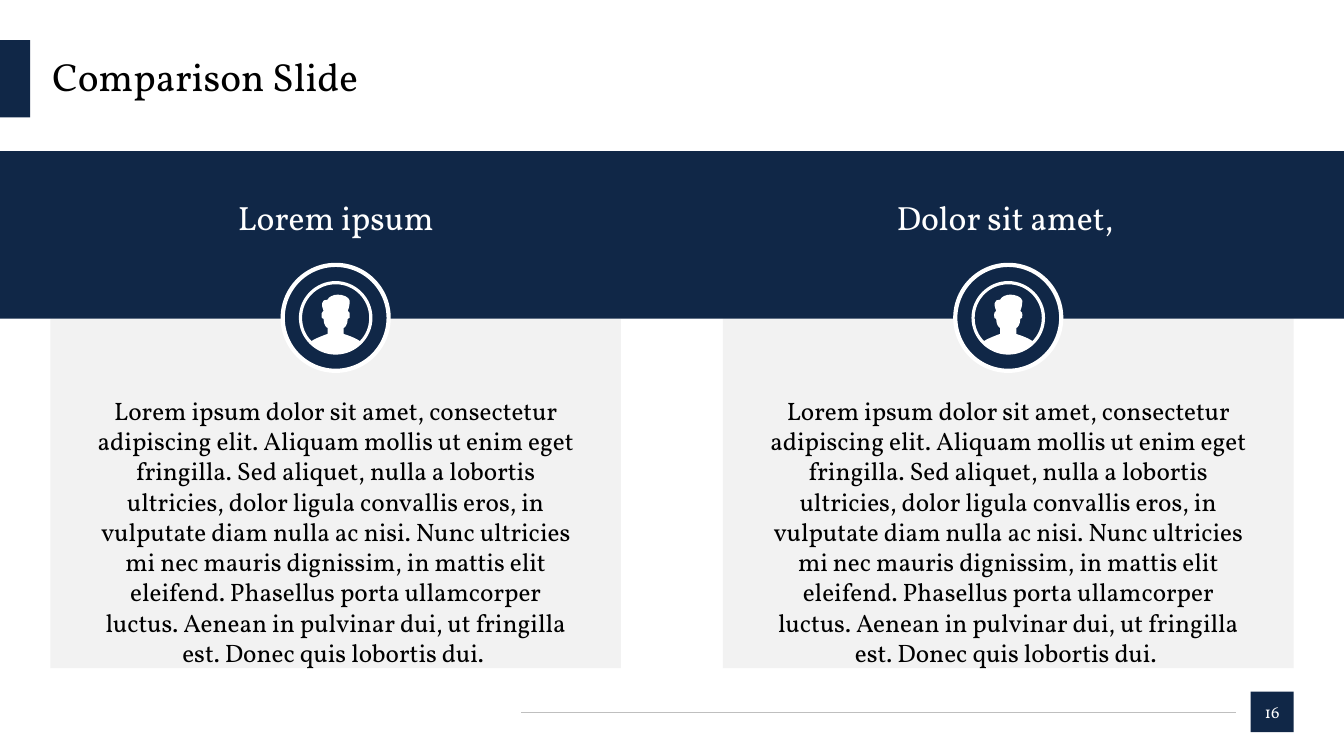
from copy import deepcopy

from lxml.etree import SubElement
from pptx import Presentation
from pptx.dml.color import RGBColor
from pptx.enum.shapes import MSO_CONNECTOR, MSO_SHAPE
from pptx.enum.text import MSO_ANCHOR, MSO_AUTO_SIZE, PP_ALIGN
from pptx.oxml.ns import qn
from pptx.util import Cm, Pt

NAVY = RGBColor(0x10, 0x27, 0x47)
PALE = RGBColor(0xF2, 0xF2, 0xF2)
GREY = RGBColor(0xBF, 0xBF, 0xBF)
WHITE = RGBColor(0xFF, 0xFF, 0xFF)
BLACK = RGBColor(0, 0, 0)
FONT = "Vollkorn"

SLIDE_W, SLIDE_H = Cm(33.87), Cm(19.05)
MARGIN = Cm(1.27)
CARD_W, CARD_H = Cm(14.38), Cm(8.81)
BAND_TOP, BAND_H = Cm(3.81), Cm(4.22)

LOREM = (
    "Lorem ipsum dolor sit amet, consectetur adipiscing elit. Aliquam mollis ut "
    "enim eget fringilla. Sed aliquet, nulla a lobortis ultricies, dolor ligula "
    "convallis eros, in vulputate diam nulla ac nisi. Nunc ultricies mi nec mauris "
    "dignissim, in mattis elit eleifend. Phasellus porta ullamcorper luctus. Aenean "
    "in pulvinar dui, ut fringilla est. Donec quis lobortis dui. "
)
COLUMNS = [("Lorem ipsum", LOREM), ("Dolor sit amet, ", LOREM)]

ICON_UNIT = 0.0254
RING_START = (0, -36.5)
RING_CURVES = [
    ((-20, -36.5), (-36.5, -20), (-36.5, 0)),
    ((-36.5, 20), (-20, 36.5), (0, 36.5)),
    ((20, 36.5), (36.5, 20), (36.5, 0)),
    ((36.5, -20), (20, -36.5), (0, -36.5)),
]
BUST_START = (24, 23)
BUST_CURVES = [
    ((21, 21), (17, 19), (11, 17)),
    ((10, 17), (9, 16), (8, 16)),
    ((8, 10), (8, 10), (8, 10)),
    ((9, 10), (12, 7), (12, 1)),
    ((14, 1), (14, 0), (14, -3)),
    ((14, -4), (14, -6), (12, -7)),
    ((13, -9), (14, -13), (14, -17)),
    ((13, -21), (7, -23), (2, -23)),
    ((-2, -23), (-7, -21), (-8, -18)),
    ((-11, -18), (-12, -17), (-12, -17)),
    ((-15, -14), (-13, -10), (-12, -7)),
    ((-14, -6), (-14, -4), (-14, -3)),
    ((-14, 0), (-14, 1), (-12, 1)),
    ((-12, 7), (-9, 10), (-8, 10)),
    ((-8, 16), (-8, 16), (-8, 16)),
    ((-9, 16), (-10, 17), (-11, 17)),
    ((-16, 19), (-21, 21), (-24, 23)),
    ((-30, 17), (-33.3, 9), (-33.3, 0)),
    ((-33.3, -18.4), (-18.4, -33.3), (0, -33.3)),
    ((18.4, -33.3), (33.3, -18.4), (33.3, 0)),
    ((33.3, 9), (30, 17), (24, 23)),
]


def place(part, left, top, width, height):
    part.left, part.top, part.width, part.height = left, top, width, height


def write(part, text, size, color=BLACK, align=PP_ALIGN.CENTER,
          anchor=MSO_ANCHOR.TOP, after=0, spacing=1.0, fit=MSO_AUTO_SIZE.NONE):
    frame = part.text_frame
    frame.word_wrap = True
    frame.auto_size = fit
    frame.vertical_anchor = anchor
    frame.margin_left = frame.margin_right = 0
    frame.margin_top = frame.margin_bottom = 0
    paragraph = frame.paragraphs[0]
    paragraph.alignment = align
    paragraph.line_spacing = spacing
    paragraph.space_before, paragraph.space_after = Pt(0), Pt(after)
    run = paragraph.add_run()
    run.text = text
    run.font.name, run.font.size = FONT, Pt(size)
    run.font.color.rgb = color


def remove_bullet(placeholder):
    properties = placeholder.text_frame.paragraphs[0]._p.get_or_add_pPr()
    properties.set("marL", "0")
    properties.set("indent", "0")
    SubElement(properties, qn("a:buNone"))


def paint(part, fill, outline=None):
    part.shadow.inherit = False
    part.fill.solid()
    part.fill.fore_color.rgb = fill
    if outline is None:
        part.line.fill.background()
    else:
        part.line.color.rgb = outline
        part.line.width = Pt(3)


def add_block(shapes, left, top, width, height, fill):
    block = shapes.add_shape(MSO_SHAPE.RECTANGLE, left, top, width, height)
    paint(block, fill)
    return block


def send_to_back(shapes, part):
    shapes._spTree.insert(2, part._element)


def add_bust(shapes, center_x, center_y):
    def locate(point):
        x, y = point
        return center_x + Cm(x * ICON_UNIT), center_y + Cm(y * ICON_UNIT)

    builder = shapes.build_freeform(*locate(RING_START))
    builder.add_line_segments([locate(curve[2]) for curve in RING_CURVES])
    builder.move_to(*locate(BUST_START))
    builder.add_line_segments([locate(curve[2]) for curve in BUST_CURVES])
    bust = builder.convert_to_shape()

    segments = list(bust._element.iter(qn("a:lnTo")))
    for segment, curve in zip(segments, RING_CURVES + BUST_CURVES):
        segment.tag = qn("a:cubicBezTo")
        for index, control in enumerate(curve[:2]):
            x, y = locate(control)
            handle = deepcopy(segment[-1])
            handle.set("x", str(x - bust.left))
            handle.set("y", str(y - bust.top))
            segment.insert(index, handle)
    paint(bust, WHITE)


def add_avatar(shapes, center_x, center_y, diameter):
    avatar = shapes.add_group_shape()
    disc = avatar.shapes.add_shape(
        MSO_SHAPE.OVAL, center_x - diameter // 2, center_y - diameter // 2,
        diameter, diameter)
    paint(disc, NAVY, WHITE)
    add_bust(avatar.shapes, center_x, center_y)


def add_title(slide, left, top, width, height):
    add_block(slide.shapes, 0, top, Cm(0.76), height, NAVY)
    place(slide.shapes.title, left, top, width, height)
    write(slide.shapes.title, "Comparison Slide", 28, align=PP_ALIGN.LEFT,
          anchor=MSO_ANCHOR.MIDDLE, spacing=0.9)


def add_column(slide, body, heading, text, left, top, width, height):
    inset = Cm(1.07)
    text_width = width - 2 * inset
    card = add_block(slide.shapes, left, top, width, height, PALE)
    send_to_back(slide.shapes, card)
    place(body, left + inset, top + Cm(1.93), text_width, Cm(6.15))
    write(body, text, 18, after=12, fit=MSO_AUTO_SIZE.SHAPE_TO_FIT_TEXT)
    remove_bullet(body)
    label = slide.shapes.add_textbox(left + inset, top - Cm(3.08), text_width, Cm(1.02))
    write(label, heading, 24, WHITE, after=12, fit=MSO_AUTO_SIZE.SHAPE_TO_FIT_TEXT)
    add_avatar(slide.shapes, left + width // 2, top - Cm(0.02), Cm(2.67))


def add_footer(slide, left, top, width, height):
    badge_width = Cm(1.08)
    badge = add_block(slide.shapes, left + width - badge_width, top,
                      badge_width, height, NAVY)
    write(badge, "16", 12, WHITE, anchor=MSO_ANCHOR.MIDDLE)
    rule_y = top + height // 2
    rule = slide.shapes.add_connector(
        MSO_CONNECTOR.STRAIGHT, left, rule_y, badge.left - Cm(0.37), rule_y)
    rule.line.color.rgb = GREY
    rule.line.width = Pt(0.5)
    SubElement(rule._element.spPr, qn("a:effectLst"))


def add_comparison_slide(deck):
    slide = deck.slides.add_slide(deck.slide_layouts[3])
    bodies = list(slide.placeholders)[1:]
    add_title(slide, Cm(1.32), Cm(1.01), Cm(31.27), Cm(1.95))
    add_block(slide.shapes, 0, BAND_TOP, SLIDE_W, BAND_H, NAVY)
    pitch = SLIDE_W - 2 * MARGIN - CARD_W
    for index, (body, (heading, text)) in enumerate(zip(bodies, COLUMNS)):
        add_column(slide, body, heading, text, MARGIN + index * pitch,
                   BAND_TOP + BAND_H, CARD_W, CARD_H)
    add_footer(slide, Cm(13.13), Cm(17.43), Cm(19.47), Cm(1.02))


def main():
    deck = Presentation()
    deck.slide_width, deck.slide_height = SLIDE_W, SLIDE_H
    add_comparison_slide(deck)
    deck.save("out.pptx")


if __name__ == "__main__":
    main()
